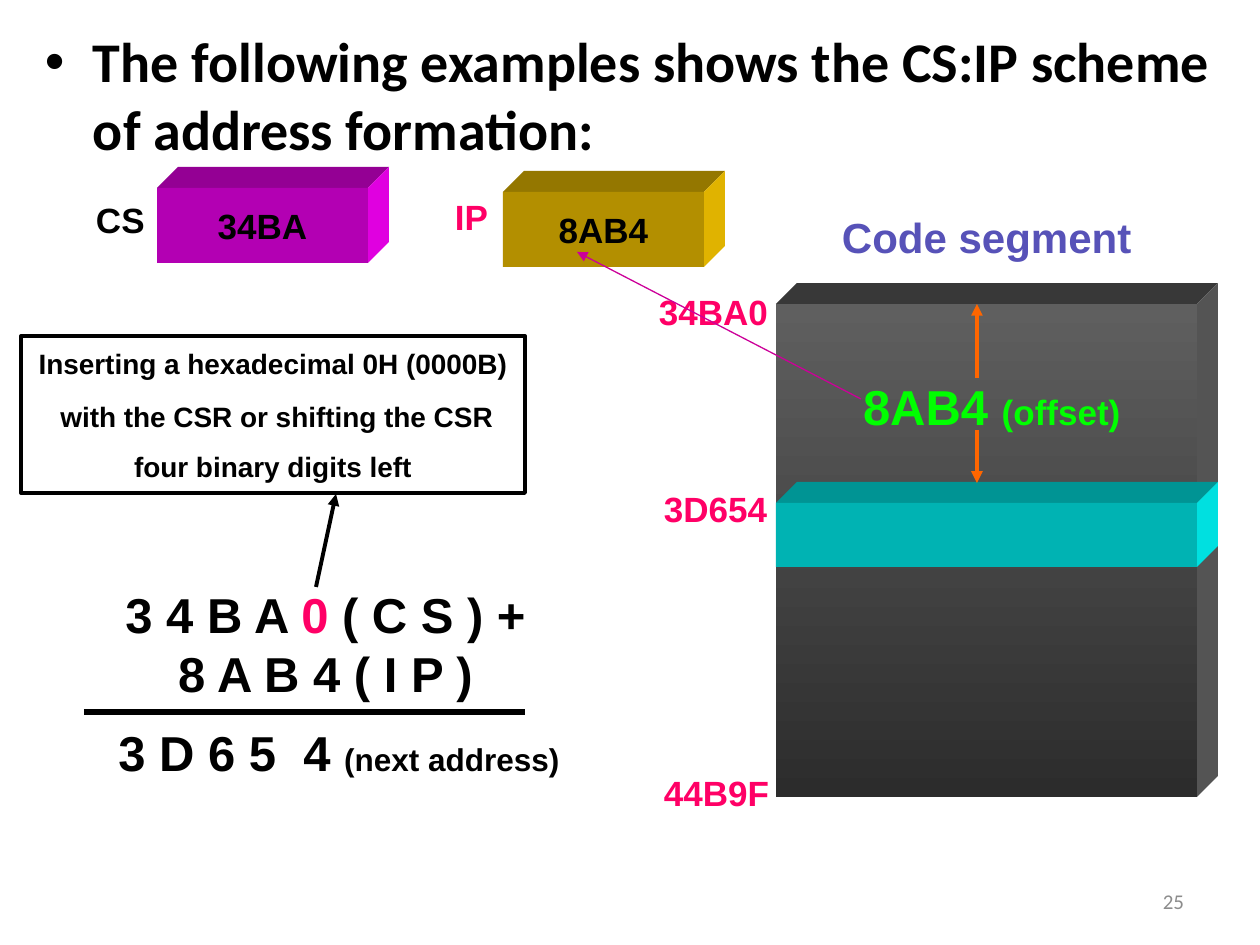
"""Build the slide on the CS:IP scheme of address formation."""
from lxml import etree
from pptx import Presentation
from pptx.dml.color import RGBColor
from pptx.enum.shapes import MSO_CONNECTOR, MSO_SHAPE
from pptx.enum.text import MSO_ANCHOR, PP_ALIGN
from pptx.oxml.ns import qn
from pptx.util import Pt

PX = 914400 // 126
RECT = MSO_SHAPE.RECTANGLE
LINE = MSO_CONNECTOR.STRAIGHT
TOP, MID = MSO_ANCHOR.TOP, MSO_ANCHOR.MIDDLE
LEFT, MIDST, RIGHT = PP_ALIGN.LEFT, PP_ALIGN.CENTER, PP_ALIGN.RIGHT

BLACK = RGBColor(0x00, 0x00, 0x00)
WHITE = RGBColor(0xFF, 0xFF, 0xFF)
GRAY = RGBColor(0x8C, 0x8C, 0x8C)
PINK = RGBColor(0xFF, 0x00, 0x66)
BLUE = RGBColor(0x57, 0x52, 0xB8)
GREEN = RGBColor(0x00, 0xFF, 0x00)
ORANGE = RGBColor(0xFF, 0x66, 0x00)
PLUM = RGBColor(0xCC, 0x00, 0x99)
DARK = RGBColor(0x5F, 0x5F, 0x5F)
DEEP = RGBColor(0x2C, 0x2C, 0x2C)
VIOLET = (RGBColor(0xB3, 0x00, 0xB3), RGBColor(0x94, 0x00, 0x94), RGBColor(0xE0, 0x00, 0xE0))
GOLD = (RGBColor(0xB3, 0x8F, 0x00), RGBColor(0x94, 0x77, 0x00), RGBColor(0xE0, 0xB3, 0x00))
CYAN = (RGBColor(0x00, 0xB3, 0xB3), RGBColor(0x00, 0x94, 0x94), RGBColor(0x00, 0xE0, 0xE0))
STONE = ((DARK, DEEP), RGBColor(0x38, 0x38, 0x38), RGBColor(0x54, 0x54, 0x54))


class Deck:
    """Holds the style and the current slide."""

    def __init__(self, wide, high):
        self.font, self.depth = "Arial", 21
        self.prs = Presentation()
        self.prs.slide_width, self.prs.slide_height = wide * PX, high * PX
        self.slide = self.prs.slides.add_slide(self.prs.slide_layouts[6])
        self.shapes = self.slide.shapes

    def letter(self, shape, rows, align=LEFT, anchor=TOP, pad=(13, 6, 0, 6), font=None):
        """Fill a shape with rows of (runs, gap before in pt, indent in px)."""
        frame = shape.text_frame
        sides = ("margin_left", "margin_top", "margin_right", "margin_bottom")
        look = dict(zip(sides, (side * PX for side in pad)))
        look.update(word_wrap=True, vertical_anchor=anchor)
        for name, value in look.items():
            setattr(frame, name, value)
        for i, (runs, gap, indent) in enumerate(rows):
            para = frame.add_paragraph() if i else frame.paragraphs[0]
            para.alignment, para.space_before = align, Pt(gap)
            if indent:
                para._p.get_or_add_pPr().set("marL", str(indent * PX))
            for words, size, color, bold in runs:
                run = para.add_run()
                run.text = words
                style = {"name": font or self.font, "size": Pt(size), "bold": bold}
                for name, value in style.items():
                    setattr(run.font, name, value)
                run.font.color.rgb = color

    def text(self, x, y, w, h, runs, indent=0, **style):
        """Add a text box of one paragraph."""
        box = self.shapes.add_textbox(x * PX, y * PX, w * PX, h * PX)
        self.letter(box, [(runs, 0, indent)], **style)
        return box

    def bullet(self, x, y, w, h, runs, indent, font):
        """Add a text box with one hanging bullet."""
        box = self.text(x, y, w, h, runs, indent, font=font)
        props = box.text_frame.paragraphs[0]._p.get_or_add_pPr()
        props.set("indent", str(-indent * PX))
        etree.SubElement(props, qn("a:buFont")).set("typeface", self.font)
        etree.SubElement(props, qn("a:buChar")).set("char", "•")

    def paint(self, shape, fill, line=None, width=0.75):
        """Set the fill, a color or a pair from top to bottom, and the line."""
        shape.shadow.inherit = False
        if isinstance(fill, tuple) and not isinstance(fill, RGBColor):
            shape.fill.gradient()
            shape.fill.gradient_angle = 270
            for stop, place, color in zip(shape.fill.gradient_stops, (0, 1), fill):
                stop.position, stop.color.rgb = place, color
        else:
            shape.fill.solid()
            shape.fill.fore_color.rgb = fill
        if line is None:
            shape.line.fill.background()
        else:
            shape.line.color.rgb, shape.line.width = line, Pt(width)

    def box(self, x, y, w, h, fill, rows=(), line=None, width=0.75):
        """Add a rectangle with centred rows."""
        shape = self.shapes.add_shape(RECT, x * PX, y * PX, w * PX, h * PX)
        self.paint(shape, fill, line, width)
        if rows:
            self.letter(shape, rows, MIDST, MID, (0, 0, 0, 0))

    def block(self, x, y, w, h, tones, rows=()):
        """Add a solid block from a front, a top and a side face."""
        front, top, side = tones
        d, r = self.depth, x + w
        faces = (
            (top, [(x, y), (x + d, y - d), (r + d, y - d), (r, y)]),
            (side, [(r, y), (r + d, y - d), (r + d, y + h - d), (r, y + h)]),
        )
        for color, points in faces:
            build = self.shapes.build_freeform(*points[0], scale=PX)
            build.add_line_segments(points[1:], close=True)
            self.paint(build.convert_to_shape(), color)
        self.box(x, y, w, h, front, rows)

    def line(self, x1, y1, x2, y2, color, width, arrow=True):
        """Add a line, with an arrowhead at its end if asked."""
        link = self.shapes.add_connector(LINE, x1 * PX, y1 * PX, x2 * PX, y2 * PX)
        link.line.color.rgb, link.line.width = color, Pt(width)
        props = link._element.spPr
        if arrow:
            etree.SubElement(props.find(qn("a:ln")), qn("a:tailEnd")).set("type", "triangle")
        etree.SubElement(props, qn("a:effectLst"))


def main():
    """Draw the slide and save it."""
    deck = Deck(1260, 945)
    title = "The following examples shows the CS:IP scheme of address formation:"
    deck.bullet(32, 21, 1197, 872, [(title, 32, BLACK, True)], 48, "Calibri")
    deck.text(903, 876, 294, 50, [("25", 12, GRAY, False)], align=RIGHT, anchor=MID,
              pad=(13, 6, 13, 6), font="Calibri")

    notes = (("Inserting a hexadecimal 0H (0000B)", 0, 0),
             ("with the CSR or shifting the CSR", 11.5, 8),
             ("four binary digits left", 9, 0))
    rows = [([(words, 16, BLACK, True)], gap, indent) for words, gap, indent in notes]
    deck.box(21, 336, 504, 157, WHITE, rows, BLACK, 2.25)
    total = [
        ([("3 4 B A ", 28, BLACK, True), ("0", 28, PINK, True), (" ( C S ) +", 28, BLACK, True)], 0, 0),
        ([("8 A B 4 ( I P )", 28, BLACK, True)], 0, 0),
        ([("3 D 6 5  4 ", 28, BLACK, True), ("(next address)", 18, BLACK, True)], 11.5, 27),
    ]
    deck.box(42, 557, 567, 252, WHITE, total, WHITE)

    for x, y, w, tones, words in ((157, 188, 211, VIOLET, "34BA"), (503, 192, 201, GOLD, "8AB4")):
        deck.block(x, y, w, 75, tones, [([(words, 20, BLACK, True)], 0, 0)])
    deck.block(776, 304, 421, 493, STONE)
    deck.block(776, 503, 421, 64, CYAN)

    labels = (
        (83, 192, 84, "CS", 20, BLACK),
        (442, 189, 73, "IP", 20, PINK),
        (646, 284, 136, "34BA0", 20, PINK),
        (651, 482, 147, "3D654", 20, PINK),
        (651, 765, 158, "44B9F", 20, PINK),
        (829, 206, 336, "Code segment", 24, BLUE),
    )
    for x, y, w, words, size, color in labels:
        deck.text(x, y, w, 63 if size > 20 else 54, [(words, size, color, True)])
    deck.line(84, 712, 525, 712, BLACK, 3, False)
    deck.text(850, 370, 294, 72, [("8AB4 ", 28, GREEN, True), ("(offset)", 20, GREEN, True)])

    deck.line(977, 378, 977, 304, ORANGE, 2.25)
    deck.line(977, 430, 977, 483, ORANGE, 2.25)
    deck.line(316, 587, 336, 494, BLACK, 2.25)
    deck.line(861, 399, 577, 252, PLUM, 0.75)
    deck.prs.save("out.pptx")


if __name__ == "__main__":
    main()
